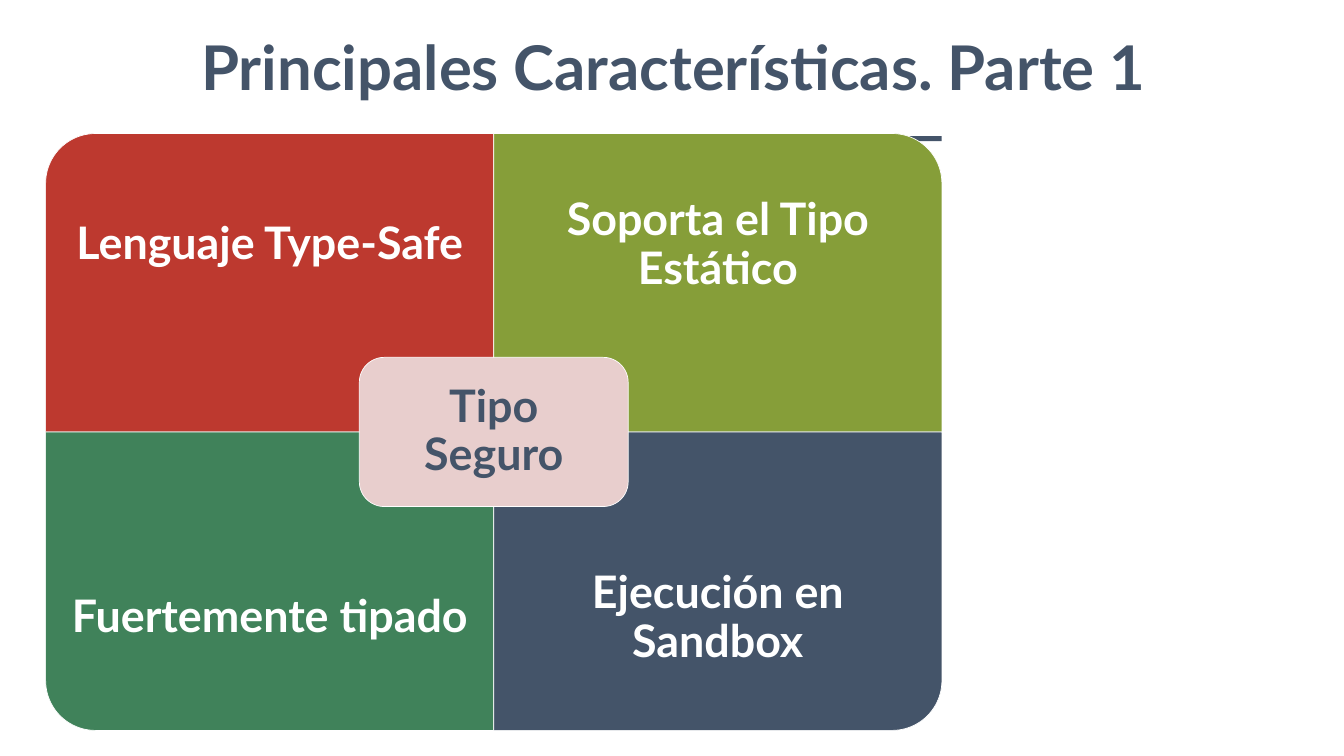
import dataclasses

import pptx
import pptx.dml.color
import pptx.enum.shapes
import pptx.enum.text
import pptx.util

Cm = pptx.util.Cm
Pt = pptx.util.Pt
SHAPE = pptx.enum.shapes.MSO_SHAPE
ANCHOR = pptx.enum.text.MSO_ANCHOR


@dataclasses.dataclass(frozen=True)
class Theme:
    font: str = "Lato"
    navy: str = "445469"
    red: str = "BD392F"
    olive: str = "869E39"
    green: str = "40825A"
    pink: str = "E8CECD"
    white: str = "FFFFFF"
    title_size: int = 88
    body_size: int = 64
    outline: int = 1


THEME = Theme()


def rgb(value):
    return pptx.dml.color.RGBColor.from_string(value)


def write(tf, text, *, size, color, inset, anchor=ANCHOR.MIDDLE, spacing=None):
    tf.word_wrap = True
    tf.vertical_anchor = anchor
    tf.margin_left, tf.margin_top, tf.margin_right, tf.margin_bottom = map(Cm, inset)
    p = tf.paragraphs[0]
    p.alignment = pptx.enum.text.PP_ALIGN.CENTER
    p.line_spacing = spacing
    r = p.add_run()
    r.text = text
    r.font.name = THEME.font
    r.font.size = Pt(size)
    r.font.bold = True
    r.font.color.rgb = rgb(color)


def add_block(s, kind, x, y, w, h, fill, line=None, rotation=0):
    sp = s.shapes.add_shape(kind, Cm(x), Cm(y), Cm(w), Cm(h))
    sp.shadow.inherit = False
    sp.rotation = rotation
    sp.fill.solid()
    sp.fill.fore_color.rgb = rgb(fill)
    if line:
        sp.line.color.rgb = rgb(line)
        sp.line.width = Pt(THEME.outline)
    else:
        sp.line.fill.background()
    return sp


def add_title(s, text, x, y, w, h):
    sp = s.shapes.title
    sp.left, sp.top, sp.width, sp.height = Cm(x), Cm(y), Cm(w), Cm(h)
    write(sp.text_frame, text, size=THEME.title_size, color=THEME.navy,
          inset=(0.25, 0.13, 0.25, 0.13), anchor=ANCHOR.TOP)
    sp.text_frame.auto_size = pptx.enum.text.MSO_AUTO_SIZE.SHAPE_TO_FIT_TEXT


def add_quadrant(s, text, x, y, w, h, *, fill, rotation, text_top):
    bw, bh = (h, w) if rotation % 180 else (w, h)
    add_block(s, SHAPE.ROUND_1_RECTANGLE, x + (w - bw) / 2, y + (h - bh) / 2,
              bw, bh, fill, THEME.white, rotation)
    sp = s.shapes.add_textbox(Cm(x), Cm(text_top), Cm(w), Cm(h * 0.75))
    write(sp.text_frame, text, size=THEME.body_size, color=THEME.white,
          inset=(1.26,) * 4, spacing=0.9)


def add_matrix(s, quadrants, center, x, y, w, h):
    qw, qh = w / 2, h / 2
    for i, (text, fill, rotation) in enumerate(quadrants):
        row, col = divmod(i, 2)
        qx, qy = x + col * qw, y + row * qh
        add_quadrant(s, text, qx, qy, qw, qh, fill=fill, rotation=rotation,
                     text_top=qy + row * qh / 4)
    cw, ch = qw * 0.6, qh * 0.5
    sp = add_block(s, SHAPE.ROUNDED_RECTANGLE, x + (w - cw) / 2, y + (h - ch) / 2,
                   cw, ch, THEME.pink, THEME.white)
    write(sp.text_frame, center, size=THEME.body_size, color=THEME.navy,
          inset=(0.68,) * 4, spacing=0.9)


def main():
    prs = pptx.Presentation()
    prs.slide_width, prs.slide_height = Cm(67.72), Cm(38.1)
    s = prs.slides.add_slide(prs.slide_layouts[5])

    add_title(s, "Principales Características. Parte 1", 0.66, 1.35, 66.55, 4.01)
    add_block(s, SHAPE.RECTANGLE, 41.76, 6.86, 5.69, 0.25, THEME.navy)
    quadrants = [
        ("Lenguaje Type-Safe", THEME.red, 270),
        ("Soporta el Tipo Estático", THEME.olive, 0),
        ("Fuertemente tipado", THEME.green, 180),
        ("Ejecución en Sandbox", THEME.navy, 90),
    ]
    add_matrix(s, quadrants, "Tipo Seguro", 2.3, 6.73, 45.16, 30.08)

    prs.save("out.pptx")


if __name__ == "__main__":
    main()
